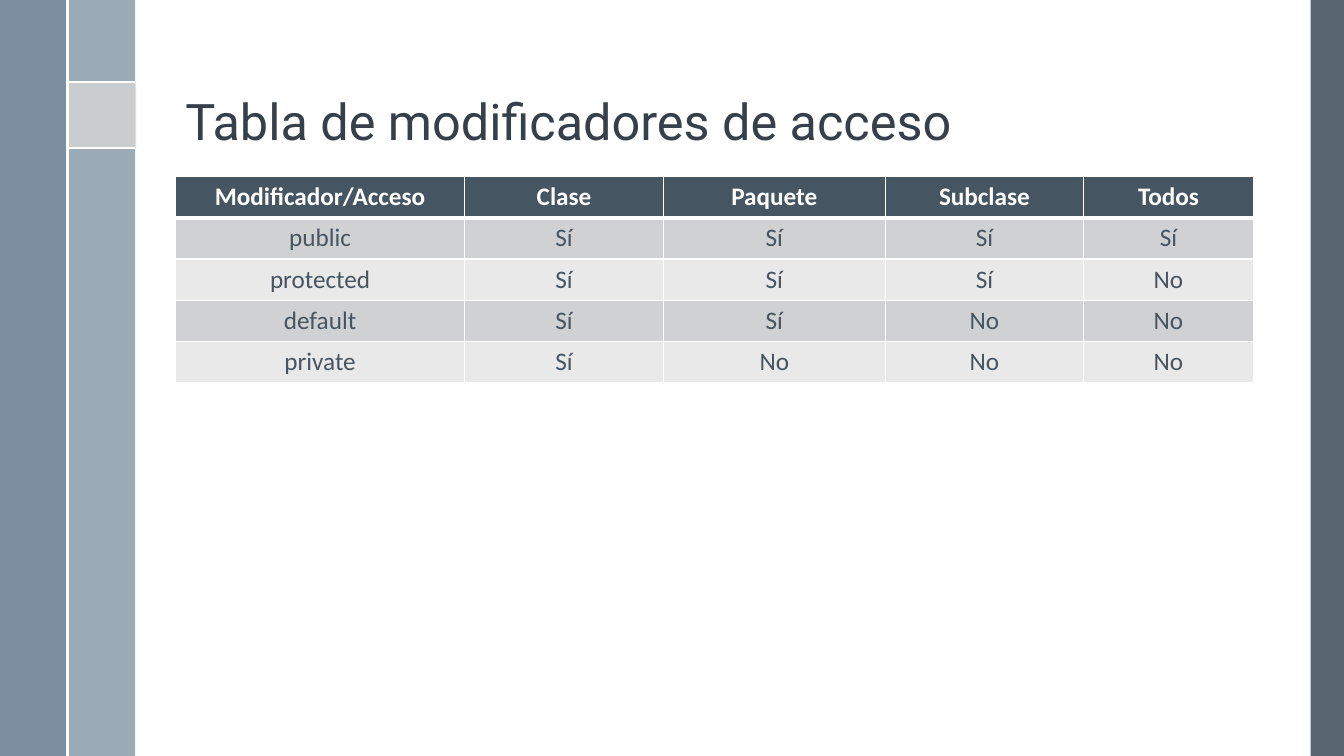
"""Builds a slide with a table of access modifiers."""
from lxml import etree
from pptx import Presentation
from pptx import util as u
from pptx.dml.color import RGBColor
from pptx.enum import shapes, text
from pptx.oxml import ns

COLORS = {
    "white": "FFFFFF", "edge": "475562", "band": "9BAAB7", "side": "6A8093",
    "square": "D9D9D9", "title": "35404A", "slate": "465562",
    "odd": "CFD1D3", "even": "E9E9EA",
}


class SlideBuilder:
    """Holds the style and the page, and adds elements to it."""

    def __init__(self, page, colors, title_font, body_font):
        self.page = page
        self.colors = colors
        self.title_font = title_font
        self.body_font = body_font

    def paint(self, fill, color):
        fill.solid()
        fill.fore_color.rgb = RGBColor.from_string(self.colors[color])

    def add_span(self, para, words, font, size, color, bold=False):
        span = para.add_run()
        span.text = words
        span.font.name = font
        span.font.size = u.Pt(size)
        span.font.bold = bold
        span.font.color.rgb = RGBColor.from_string(self.colors[color])

    def panel(self, left, top, width, height, color, opacity=100):
        box = self.page.shapes.add_shape(
            shapes.MSO_SHAPE.RECTANGLE, *map(u.Inches, (left, top, width, height)))
        box.shadow.inherit = False
        box.line.fill.background()
        self.paint(box.fill, color)
        if opacity < 100:
            tone = next(box._element.spPr.iter(ns.qn("a:srgbClr")))
            etree.SubElement(tone, ns.qn("a:alpha"), val=str(opacity * 1000))

    def rule(self, *ends):
        line = self.page.shapes.add_connector(
            shapes.MSO_CONNECTOR.STRAIGHT, *map(u.Inches, ends))
        self.paint(line.line.fill, "white")
        line.line.width = u.Pt(1.5)
        etree.SubElement(line._element.spPr, ns.qn("a:effectLst"))

    def title(self, left, top, width, height, words):
        box = self.page.shapes.add_textbox(*map(u.Inches, (left, top, width, height)))
        frame = box.text_frame
        frame.word_wrap = True
        frame.vertical_anchor = text.MSO_ANCHOR.BOTTOM
        para = frame.paragraphs[0]
        para.line_spacing = 0.9
        self.add_span(para, words, self.title_font, 36, "title")

    def borders(self, cell, top, bottom):
        props = cell._tc.get_or_add_tcPr()
        widths = {"lnL": 1, "lnR": 1, "lnT": top, "lnB": bottom}
        for place, (side, width) in enumerate(widths.items()):
            edge = etree.Element(ns.qn("a:" + side), w=str(u.Pt(width)))
            fill = etree.SubElement(edge, ns.qn("a:solidFill"))
            etree.SubElement(fill, ns.qn("a:srgbClr"), val=self.colors["white"])
            props.insert(place, edge)

    def table(self, left, top, widths, row_height, rows):
        grid = self.page.shapes.add_table(
            len(rows), len(widths), u.Inches(left), u.Inches(top),
            u.Inches(sum(widths)), u.Inches(row_height * len(rows))).table
        for column, width in zip(grid.columns, widths):
            column.width = u.Inches(width)
        for number, row in enumerate(rows):
            header = number == 0
            fill = "slate" if header else ("even", "odd")[number % 2]
            for position, words in enumerate(row):
                cell = grid.cell(number, position)
                self.paint(cell.fill, fill)
                self.borders(cell, 3 if number == 1 else 1, 3 if header else 1)
                para = cell.text_frame.paragraphs[0]
                para.alignment = text.PP_ALIGN.CENTER
                self.add_span(para, words, self.body_font, 18,
                              "white" if header else "slate", header)


deck = Presentation()
deck.slide_width, deck.slide_height = u.Inches(13.33), u.Inches(7.5)
page = deck.slides.add_slide(deck.slide_layouts[6])
builder = SlideBuilder(page, COLORS, "Roboto", "Calibri")

builder.panel(13, 0, 0.33, 7.5, "edge", 90)
builder.panel(0.67, 0, 0.67, 7.5, "band")
builder.panel(0, 0, 0.67, 7.5, "side", 88)
builder.panel(0.68, 0.81, 0.67, 0.67, "square", 75)
for height in (0.81, 1.47):
    builder.rule(0.67, height, 1.34, height)
builder.rule(0.67, 0, 0.67, 7.5)

builder.title(1.74, 0.19, 10.7, 1.36, "Tabla de modificadores de acceso")
builder.table(1.74, 1.75, (2.87, 1.97, 2.2, 1.97, 1.68), 0.41, [
    ("Modificador/Acceso", "Clase", "Paquete", "Subclase", "Todos"),
    ("public", "Sí", "Sí", "Sí", "Sí"),
    ("protected", "Sí", "Sí", "Sí", "No"),
    ("default", "Sí", "Sí", "No", "No"),
    ("private", "Sí", "No", "No", "No"),
])
deck.save("out.pptx")
